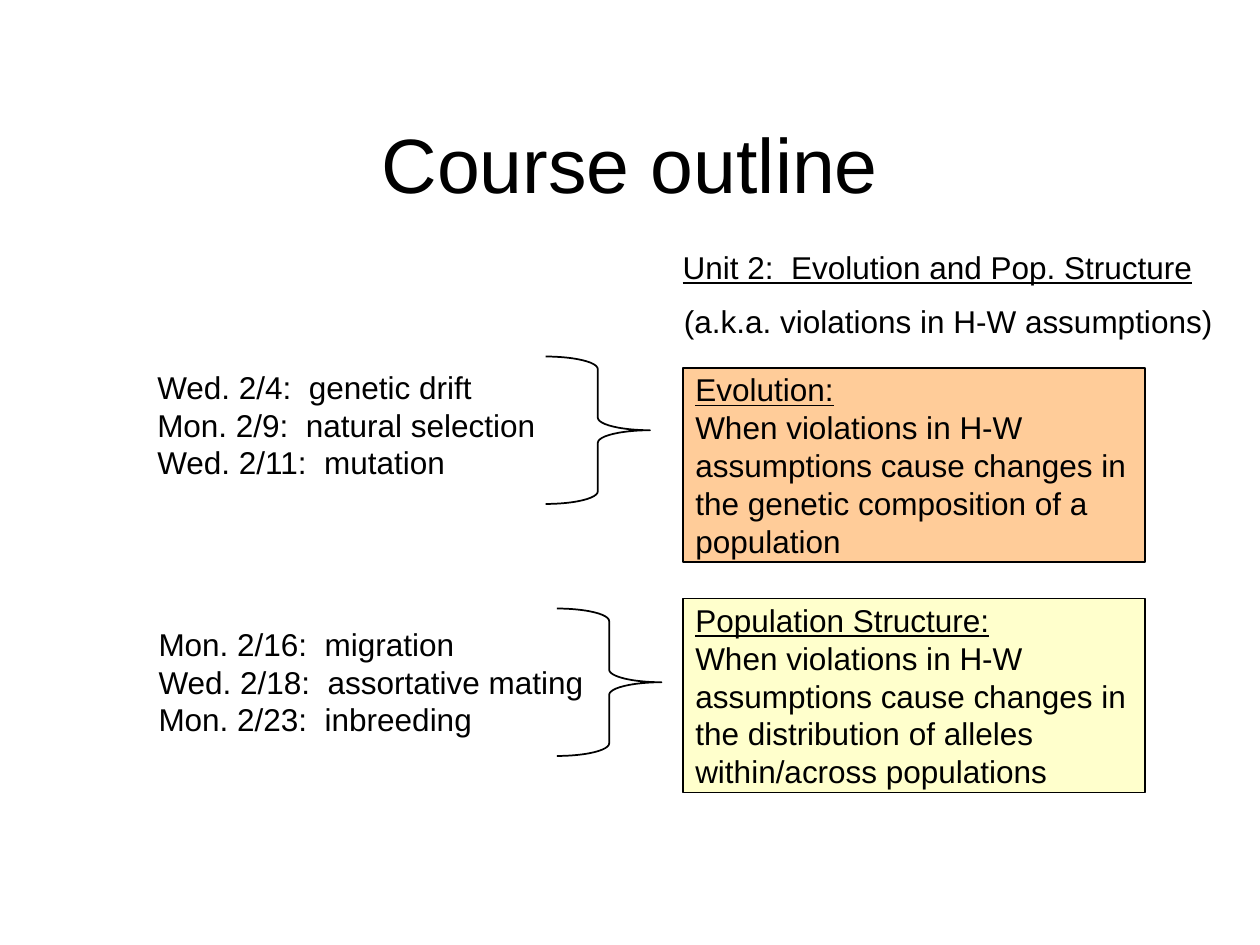
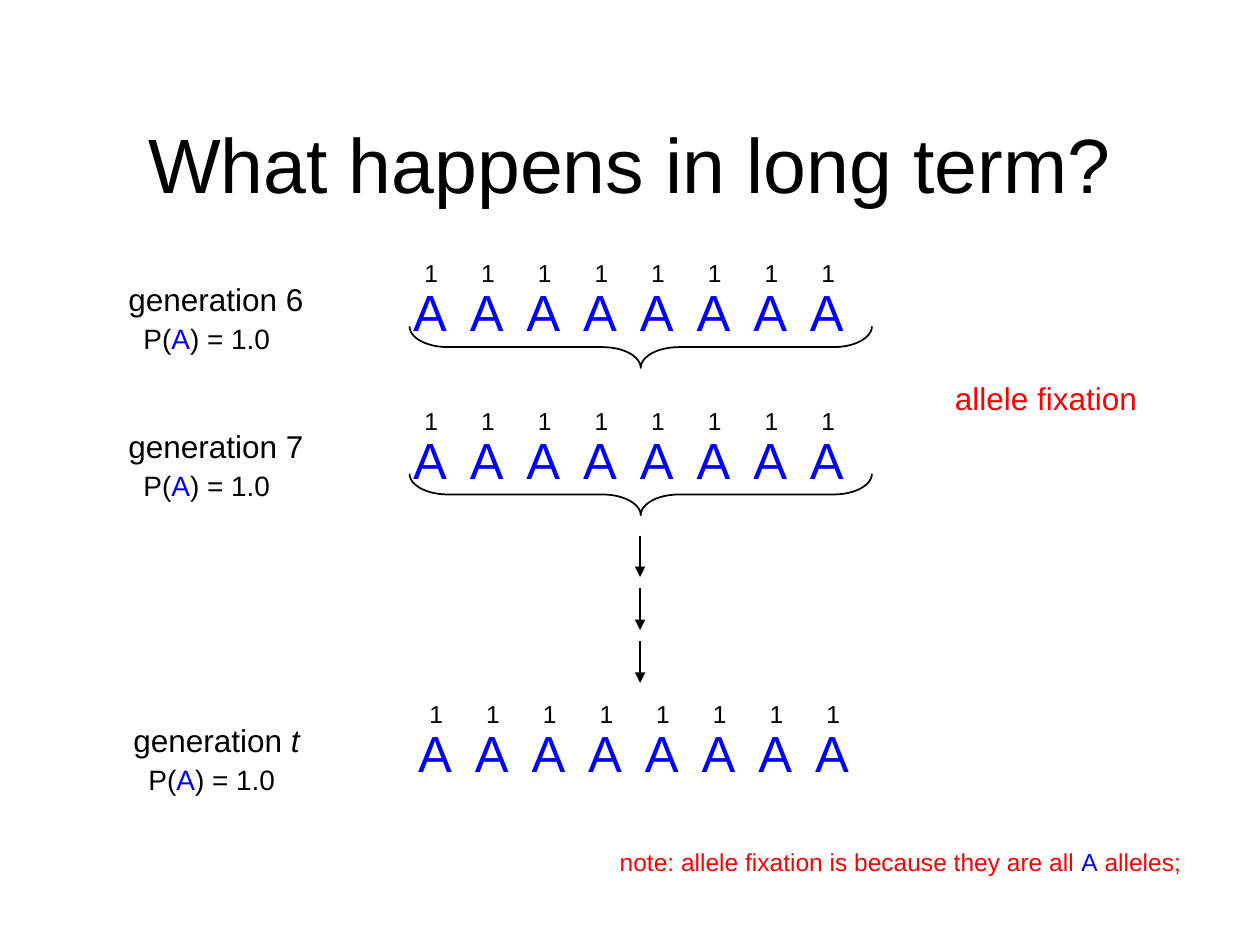
from dataclasses import dataclass

from lxml.etree import SubElement
from pptx import Presentation
from pptx.dml.color import RGBColor as Rgb
from pptx.enum.shapes import MSO_CONNECTOR as Link, MSO_SHAPE as Kind
from pptx.enum.text import MSO_ANCHOR as Anchor, MSO_AUTO_SIZE as Fit, PP_ALIGN as Align
from pptx.oxml.ns import qn
from pptx.util import Inches, Pt


@dataclass(frozen=True)
class Theme:
    font: str = "Arial"
    black: Rgb = Rgb(0, 0, 0)
    blue: Rgb = Rgb(0, 0, 255)
    red: Rgb = Rgb(255, 0, 0)
    orange: Rgb = Rgb(255, 204, 153)
    yellow: Rgb = Rgb(255, 255, 204)
    title: int = 44
    allele: int = 29
    body: int = 18
    freq: int = 16
    small: int = 14
    line: int = 1


T = Theme()


def write(shape, paras, size=T.body, wrap=False, align=Align.LEFT, anchor=Anchor.TOP):
    """Fill a shape with paragraphs, each a list of (text, colour, mark) runs."""
    frame = shape.text_frame
    frame.word_wrap = wrap
    frame.auto_size = Fit.NONE if wrap else Fit.SHAPE_TO_FIT_TEXT
    frame.vertical_anchor = anchor
    for i, runs in enumerate(paras):
        para = frame.add_paragraph() if i else frame.paragraphs[0]
        para.alignment = align
        for text, color, mark in runs:
            run = para.add_run()
            run.text = text
            run.font.name = T.font
            run.font.size = Pt(size)
            run.font.color.rgb = color
            run.font.underline = mark == "u"
            run.font.italic = mark == "i"


def draw(slide, kind, box, fill=None):
    """Add a black-lined preset shape without shadow."""
    shape = slide.shapes.add_shape(kind, *map(Inches, box))
    shape.shadow.inherit = False
    shape.line.color.rgb = T.black
    shape.line.width = Pt(T.line)
    if fill is None:
        shape.fill.background()
    else:
        shape.fill.solid()
        shape.fill.fore_color.rgb = fill
    return shape


deck = Presentation()
deck.slide_width, deck.slide_height = Inches(10), Inches(7.5)

# Titles
slides = []
for text in ("Course outline", "What happens in long term?"):
    slide = deck.slides.add_slide(deck.slide_layouts[5])
    title = slide.shapes.title
    title.left, title.top = Inches(0.75), Inches(0.67)
    title.width, title.height = Inches(8.5), Inches(1.25)
    write(title, [[(text, T.black, "")]], T.title, True, Align.CENTER, Anchor.MIDDLE)
    slides.append(slide)
outline, future = slides

# Course outline: definitions
terms = [
    (2.92, T.orange, "Evolution:",
     "When violations in H-W assumptions cause changes in "
     "the genetic composition of a population"),
    (4.75, T.yellow, "Population Structure:",
     "When violations in H-W assumptions cause changes in "
     "the distribution of alleles within/across populations"),
]
for top, fill, term, sense in terms:
    card = draw(outline, Kind.RECTANGLE, (5.42, top, 3.67, 1.54), fill)
    write(card, [[(term, T.black, "u")], [(sense, T.black, "")]],
          wrap=True, anchor=Anchor.MIDDLE)

# Course outline: unit heading and dates
labels = [
    ((5.32, 1.92, 4.25, 0.4), "u", ["Unit 2:  Evolution and Pop. Structure"]),
    ((5.33, 2.35, 4.4, 0.4), "", ["(a.k.a. violations in H-W assumptions)"]),
    ((1.15, 2.87, 3.23, 1.01), "",
     ["Wed. 2/4:  genetic drift", "Mon. 2/9:  natural selection", "Wed. 2/11:  mutation"]),
    ((1.16, 4.91, 3.58, 1), "",
     ["Mon. 2/16:  migration", "Wed. 2/18:  assortative mating", "Mon. 2/23:  inbreeding"]),
]
for box, mark, lines in labels:
    label = outline.shapes.add_textbox(*map(Inches, box))
    write(label, [[(line, T.black, mark)] for line in lines])

for left, top in ((4.33, 2.83), (4.42, 4.83)):
    brace = draw(outline, Kind.RIGHT_BRACE, (left, top, 0.83, 1.17))
    brace.adjustments[0] = 0.12

# Long term: one block per generation
count, pitch = 8, 0.45
gens = [
    (0, 2, 1.59, [("generation 6", T.black, "")], True),
    (0, 3.17, 1.59, [("generation 7", T.black, "")], True),
    (0.04, 5.5, 1.52, [("generation", T.black, ""), (" t", T.black, "i")], False),
]
for shift, top, width, name, braced in gens:
    label = future.shapes.add_textbox(
        *map(Inches, (0.92 + shift, top + 0.17, width, 0.4)))
    write(label, [name])

    rows = [
        (3.18, 0.18, 0.59, "A", T.blue, T.allele),
        (3.27, 0, 0.33, "1", T.black, T.small),
    ]
    for left, drop, height, sign, color, size in rows:
        row = future.shapes.add_textbox(
            *map(Inches, (left + shift, top + drop, 3.75, height)))
        write(row, [[("\t".join(sign * count), color, "")]], size, True)
        props = row.text_frame.paragraphs[0]._p.get_or_add_pPr()
        tabs = SubElement(props, qn("a:tabLst"))
        for n in range(1, count):
            SubElement(tabs, qn("a:tab"), pos=str(Inches(n * pitch)), algn="l")

    freq = future.shapes.add_textbox(
        *map(Inches, (1.04 + shift, top + 0.5, 1.21, 0.37)))
    write(freq, [[("P(", T.black, ""), ("A", T.blue, ""), (") = 1.0", T.black, "")]], T.freq)

    if braced:
        brace = draw(future, Kind.RIGHT_BRACE, (4.92, top - 1.08, 0.33, 3.67))
        brace.rotation = 90
        brace.adjustments[0] = 0.92

# Long term: arrows down to generation t
for n in range(3):
    top = 4.25 + n * 0.42
    arrow = future.shapes.add_connector(
        Link.STRAIGHT, *map(Inches, (5.08, top, 5.08, top + 0.33)))
    arrow.line.color.rgb = T.black
    arrow.line.width = Pt(T.line)
    SubElement(arrow.line._get_or_add_ln(), qn("a:tailEnd"), type="triangle")
    SubElement(arrow._element.spPr, qn("a:effectLst"))

# Long term: remarks
notes = [
    ((7.48, 2.96, 1.65, 0.4), T.body, [("allele fixation", T.red, "")]),
    ((4.82, 6.67, 4.69, 0.33), T.small,
     [("note: allele fixation is because they are all ", T.red, ""),
      ("A", T.blue, ""), (" alleles;", T.red, "")]),
]
for box, size, runs in notes:
    note = future.shapes.add_textbox(*map(Inches, box))
    write(note, [runs], size)

deck.save("out.pptx")
